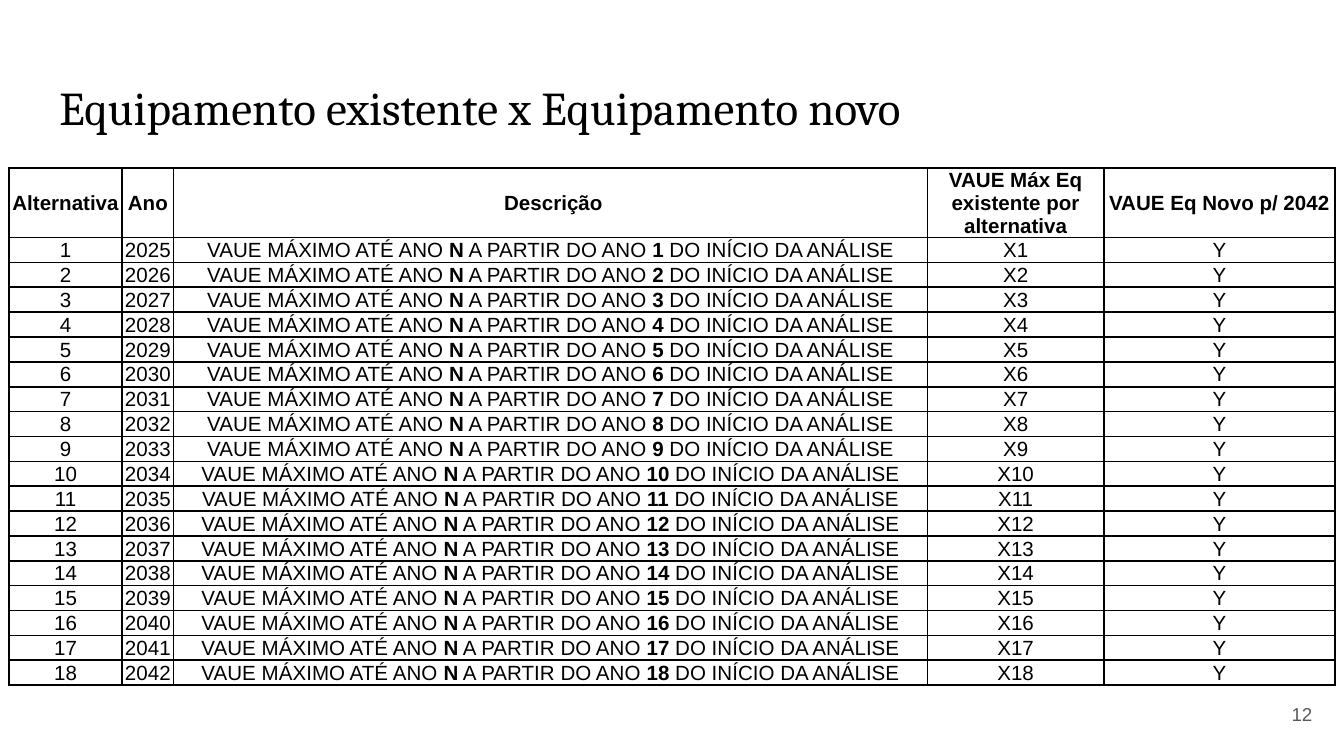
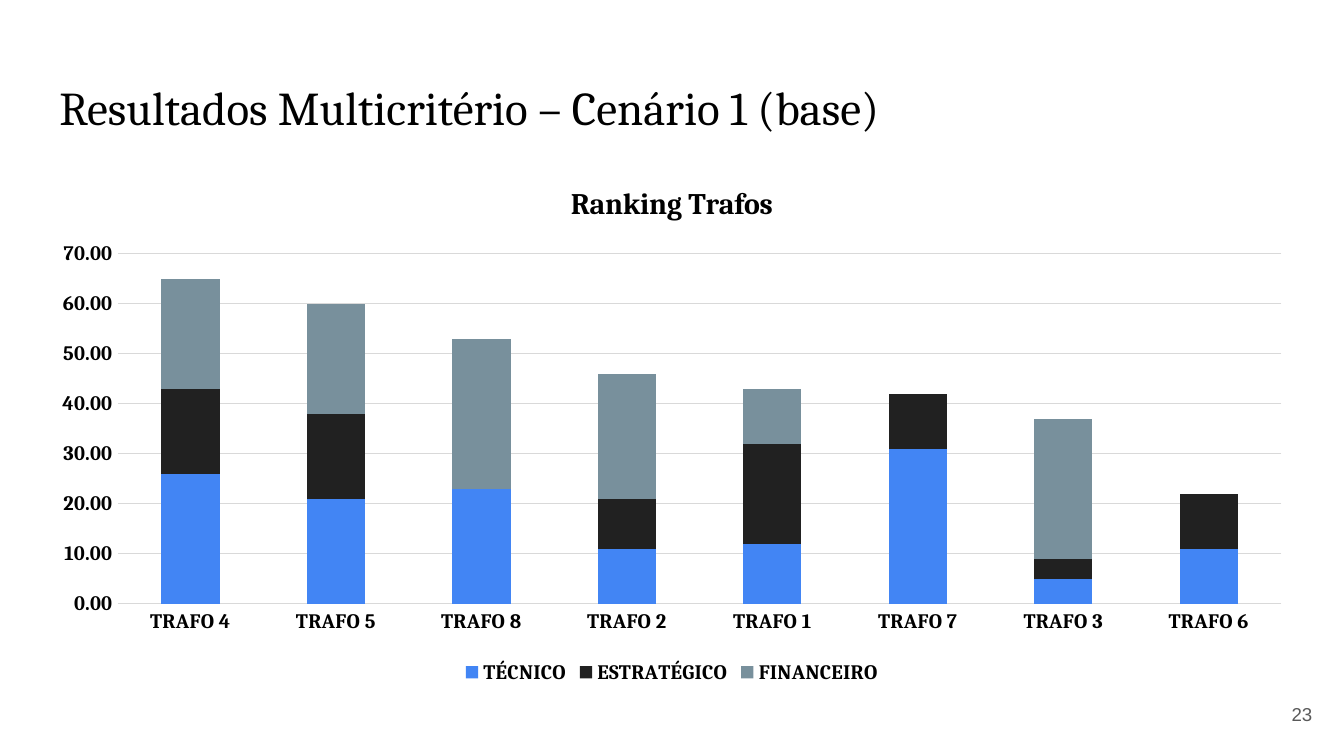
from lxml.etree import SubElement
from pptx import Presentation
from pptx.chart.data import CategoryChartData
from pptx.dml.color import RGBColor
from pptx.enum.chart import XL_CHART_TYPE as ChartType, XL_LEGEND_POSITION as LegendSpot, XL_TICK_MARK as Tick
from pptx.enum.text import MSO_ANCHOR as Anchor, MSO_AUTO_SIZE as AutoSize, PP_ALIGN as Align
from pptx.oxml.ns import qn
from pptx.util import Cm, Pt

COLORS = {
    "paper": "FFFFFF",
    "ink": "000000",
    "number": "595959",
    "grid": "D9D9D9",
    "technical": "4285F4",
    "strategic": "212121",
    "financial": "78909C",
}
SANS, SERIF = "Arial", "Cambria"
TITLE_ONLY = 5


def rgb(name):
    return RGBColor.from_string(COLORS[name])


class Deck:
    def __init__(self):
        self.file = Presentation()
        self.file.slide_width, self.file.slide_height = Cm(25.4), Cm(14.29)
        self.page = None

    def style(self, font, size, face, color="ink", bold=False):
        font.size, font.name, font.bold = Pt(size), face, bold
        font.color.rgb = rgb(color)

    def add_span(self, para, text, size, face, color="ink", bold=False):
        span = para.add_run()
        span.text = text
        self.style(span.font, size, face, color, bold)

    def place(self, box, left, top, width, height, anchor):
        box.left, box.top, box.width, box.height = Cm(left), Cm(top), Cm(width), Cm(height)
        frame = box.text_frame
        frame.word_wrap, frame.auto_size, frame.vertical_anchor = True, AutoSize.NONE, anchor
        frame.margin_left = frame.margin_right = Cm(0.25)
        frame.margin_top = frame.margin_bottom = Cm(0.25)
        return frame.paragraphs[0]

    def add_page(self, title, number):
        self.page = self.file.slides.add_slide(self.file.slide_layouts[TITLE_ONLY])
        self.page.background.fill.solid()
        self.page.background.fill.fore_color.rgb = rgb("paper")
        para = self.place(self.page.shapes.title, 0.87, 1.24, 23.66, 1.59, Anchor.TOP)
        para.alignment = Align.LEFT
        self.add_span(para, title, 25.2, SERIF)
        box = self.page.shapes.add_textbox(0, 0, 0, 0)
        para = self.place(box, 23.53, 12.96, 1.52, 1.09, Anchor.MIDDLE)
        para.alignment = Align.RIGHT
        self.add_span(para, str(number), 10, SANS, "number")

    def border(self, cell):
        properties = cell._tc.get_or_add_tcPr()
        for side in ("a:lnL", "a:lnR", "a:lnT", "a:lnB"):
            line = SubElement(properties, qn(side), w=str(Pt(1)))
            fill = SubElement(line, qn("a:solidFill"))
            SubElement(fill, qn("a:srgbClr"), val=COLORS["ink"])

    def fill_cell(self, cell, spans):
        self.border(cell)
        cell.fill.solid()
        cell.fill.fore_color.rgb = rgb("paper")
        cell.vertical_anchor = Anchor.MIDDLE
        cell.margin_left = cell.margin_right = cell.margin_top = Cm(0.02)
        cell.margin_bottom = 0
        para = cell.text_frame.paragraphs[0]
        para.alignment = Align.CENTER
        for text, bold in spans:
            self.add_span(para, text, 11, SANS, bold=bold)

    def add_table(self, left, top, widths, heights, rows):
        frame = self.page.shapes.add_table(
            len(rows), len(widths), Cm(left), Cm(top), Cm(sum(widths)), Cm(sum(heights)))
        table = frame.table
        table.first_row = table.horz_banding = False
        for column, width in zip(table.columns, widths):
            column.width = Cm(width)
        for line, height, row in zip(table.rows, heights, rows):
            line.height = Cm(height)
            for cell, spans in zip(line.cells, row):
                self.fill_cell(cell, spans)

    def add_stacked_chart(self, left, top, width, height, title, categories, series):
        data = CategoryChartData(number_format="0.00")
        data.categories = categories
        for name, _, values in series:
            data.add_series(name, values)
        chart = self.page.shapes.add_chart(
            ChartType.COLUMN_STACKED, Cm(left), Cm(top), Cm(width), Cm(height), data).chart
        self.style(chart.font, 10, SERIF)
        self.add_span(chart.chart_title.text_frame.paragraphs[0], title, 16, SERIF, bold=True)
        chart.chart_title.include_in_layout = False
        chart.has_legend = True
        chart.legend.position = LegendSpot.BOTTOM
        chart.legend.include_in_layout = False
        self.style(chart.legend.font, 11, SERIF, bold=True)
        plot = chart.plots[0]
        plot.gap_width, plot.overlap, plot.vary_by_categories = 150, 100, False
        for bars, (_, color, _) in zip(plot.series, series):
            bars.format.fill.solid()
            bars.format.fill.fore_color.rgb = rgb(color)
        for axis in (chart.category_axis, chart.value_axis):
            axis.major_tick_mark = axis.minor_tick_mark = Tick.NONE
            self.style(axis.tick_labels.font, 11, SERIF, bold=True)
        scale = chart.value_axis
        scale.minimum_scale, scale.maximum_scale, scale.major_unit = 0, 70, 10
        scale.tick_labels.number_format = "0.00"
        scale.tick_labels.number_format_is_linked = False
        scale.format.line.fill.background()
        for line in (chart.category_axis.format.line, scale.major_gridlines.format.line):
            line.color.rgb = rgb("grid")
            line.width = Pt(0.75)


def alternative_row(number):
    description = [
        ("VAUE MÁXIMO ATÉ ANO ", False), ("N", True),
        (" A PARTIR DO ANO ", False), (str(number), True),
        (" DO INÍCIO DA ANÁLISE", False),
    ]
    return [
        [(str(number), False)], [(str(2024 + number), False)], description,
        [(f"X{number}", False)], [("Y", False)],
    ]


def main():
    deck = Deck()

    deck.add_page("Equipamento existente x Equipamento novo", 12)
    headings = ["Alternativa", "Ano", " Descrição",
                "VAUE Máx Eq existente por alternativa", "VAUE Eq Novo p/ 2042"]
    header = [[(heading, True)] for heading in headings]
    alternatives = [alternative_row(number) for number in range(1, 19)]
    heights = [1.32] + [0.47] * len(alternatives)
    deck.add_table(0.17, 3.17, [2.14, 0.97, 14.25, 3.33, 4.37], heights, [header] + alternatives)

    deck.add_page("Resultados Multicritério – Cenário 1 (base)", 23)
    transformers = [f"TRAFO {number}" for number in (4, 5, 8, 2, 1, 7, 3, 6)]
    criteria = [
        ("TÉCNICO", "technical", (26, 21, 23, 11, 12, 31, 5, 11)),
        ("ESTRATÉGICO", "strategic", (17, 17, 0, 10, 20, 11, 4, 11)),
        ("FINANCEIRO", "financial", (22, 22, 30, 25, 11, 0, 28, 0)),
    ]
    deck.add_stacked_chart(0.7, 3.05, 24, 10, "Ranking Trafos", transformers, criteria)

    deck.file.save("out.pptx")


if __name__ == "__main__":
    main()
